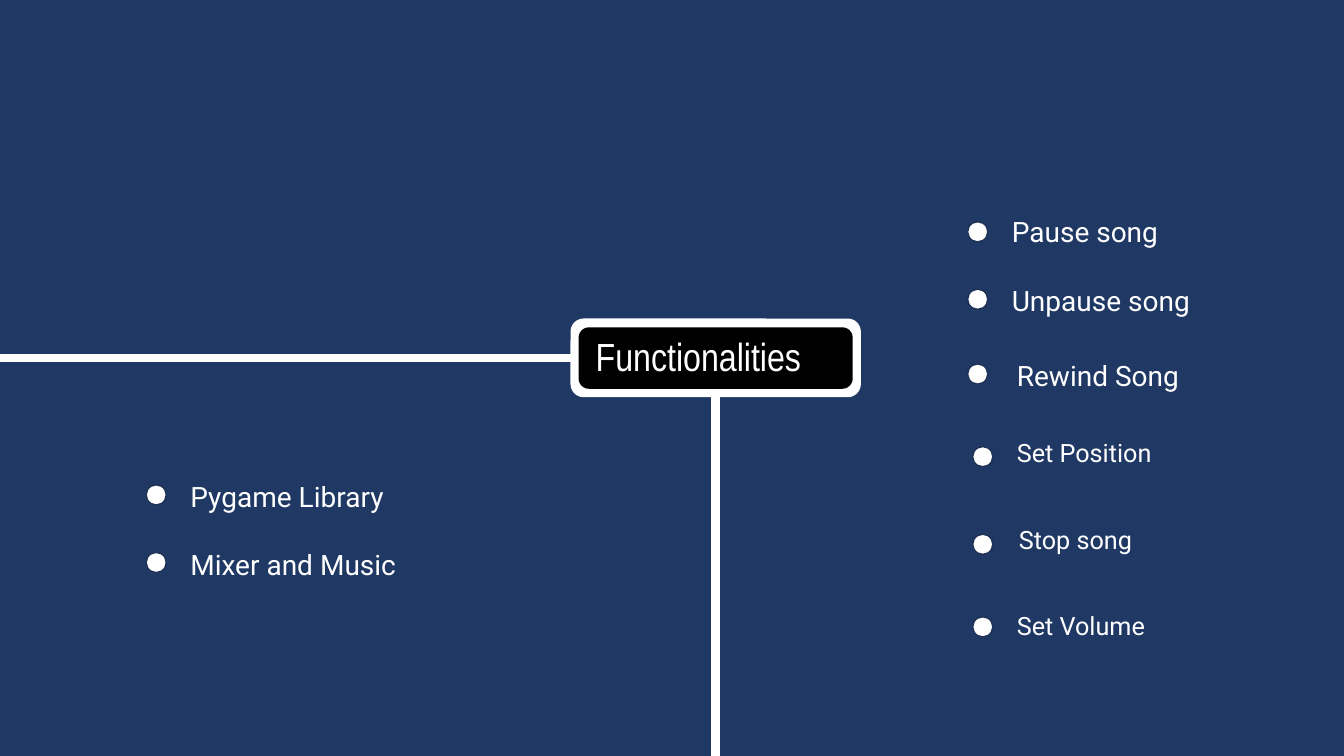
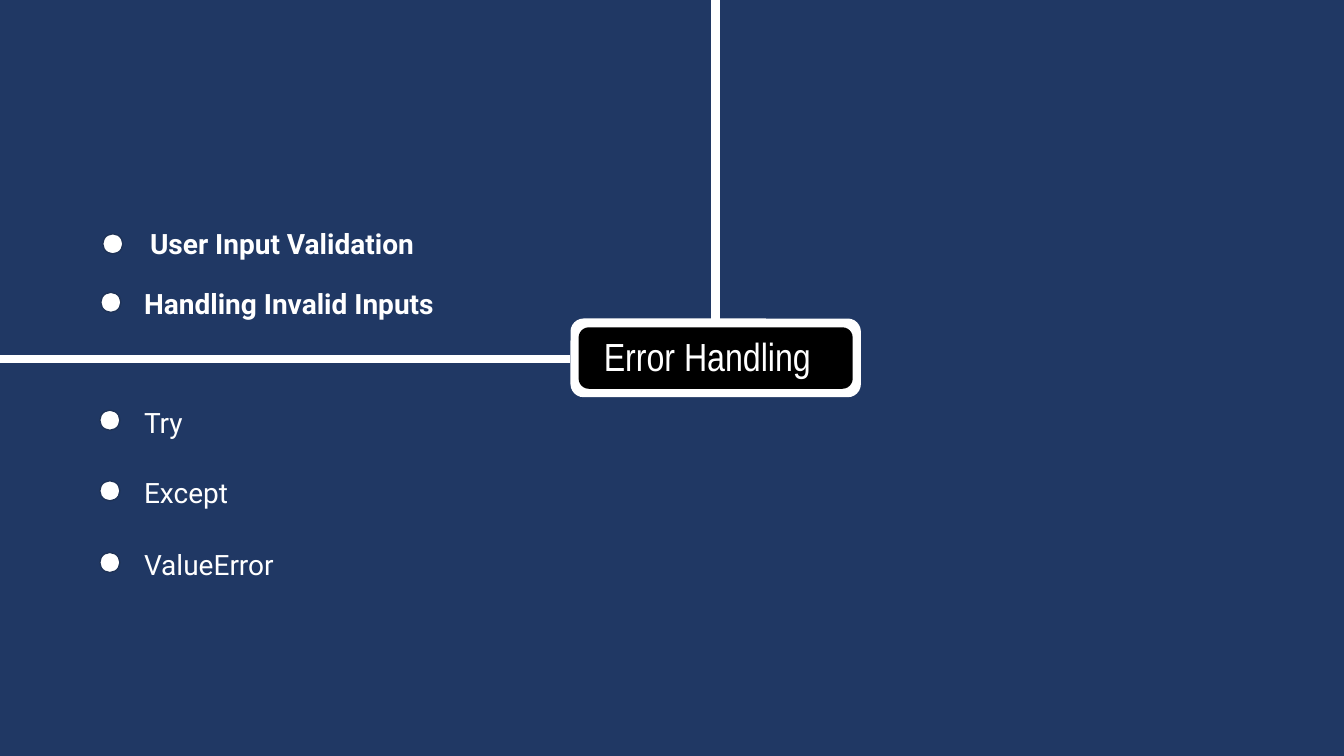
from dataclasses import dataclass

from pptx import Presentation
from pptx.dml.color import RGBColor
from pptx.enum.shapes import MSO_CONNECTOR, MSO_SHAPE
from pptx.enum.text import MSO_ANCHOR, MSO_AUTO_SIZE, PP_ALIGN
from pptx.oxml.ns import qn
from pptx.shapes.autoshape import Shape
from pptx.slide import Slide
from pptx.text.text import TextFrame
from pptx.util import Pt
from lxml import etree

NAVY = RGBColor(0x20, 0x38, 0x64)
DOT_EDGE = RGBColor(0x1E, 0x32, 0x56)
WHITE = RGBColor(0xFF, 0xFF, 0xFF)
BLACK = RGBColor(0x00, 0x00, 0x00)

STRAIGHT = MSO_CONNECTOR.STRAIGHT
ROUNDED = MSO_SHAPE.ROUNDED_RECTANGLE
OVAL = MSO_SHAPE.OVAL
LEFT = PP_ALIGN.LEFT
TOP = MSO_ANCHOR.TOP
NO_AUTOFIT = MSO_AUTO_SIZE.NONE

TITLE_FONT = "Arial Narrow"
BODY_FONT = "Roboto"
TITLE_ONLY = 5
SLIDE_W, SLIDE_H = 960, 540
TRUNK_X = 511.2
FRAME = (407.5, 227.5, 207.4, 56.2)
PANEL = (413.3, 233.8, 195.8, 43.9)
TITLE_Y, TITLE_W, TITLE_H = 234, 230, 41
DOT = 14.4
ITEM_W, ITEM_H = 230, 32


@dataclass(frozen=True)
class Item:
    text: str
    dot_x: float
    dot_y: float
    x: float
    y: float
    size: float = 20
    bold: bool = False


@dataclass(frozen=True)
class Branch:
    x1: float
    y1: float
    x2: float
    y2: float


@dataclass(frozen=True)
class Topic:
    title: str
    title_x: float
    branches: tuple[Branch, ...]
    items: tuple[Item, ...]


TOPICS = (
    Topic(
        "Functionalities", 418.3,
        (Branch(0, 255.6, 508.3, 255.6), Branch(TRUNK_X, 278.6, TRUNK_X, SLIDE_H)),
        (
            Item("Pause song", 691.2, 158.4, 715.7, 149.8),
            Item("Unpause song", 691.2, 206.6, 715.7, 198.7),
            Item("Rewind Song", 691.2, 260, 719.3, 252.7),
            Item("Set Position", 694.8, 319, 719.3, 308.9, 18),
            Item("Stop song", 694.8, 381.6, 720.7, 370.8, 18),
            Item("Set Volume", 694.8, 440.6, 719.3, 432.7, 18),
            Item("Pygame Library", 104.4, 346.3, 128.9, 339.1),
            Item("Mixer and Music", 104.4, 394.6, 128.9, 387.4),
        ),
    ),
    Topic(
        "Error Handling", 424.1,
        (Branch(TRUNK_X, 0, TRUNK_X, 236.2), Branch(407.5, 256.3, 0, 256.3)),
        (
            Item("User Input Validation", 73.4, 167, 100.1, 158.4, bold=True),
            Item("Handling Invalid Inputs", 72, 208.8, 95.8, 200.9, bold=True),
            Item("Try", 71.3, 293, 95.8, 285.8),
            Item("Except", 71.3, 343.4, 95.8, 336.2),
            Item("ValueError", 71.3, 394.6, 95.8, 387.4),
        ),
    ),
)


def write(tf: TextFrame, text: str, *, size: float, font: str = BODY_FONT,
          bold: bool = False, color: RGBColor = WHITE) -> None:
    tf.word_wrap = True
    tf.auto_size = NO_AUTOFIT
    tf.vertical_anchor = TOP
    p = tf.paragraphs[0]
    p.alignment = LEFT
    r = p.add_run()
    r.text = text
    r.font.name = font
    r.font.size = Pt(size)
    r.font.bold = bold
    r.font.color.rgb = color


def add_solid(s: Slide, kind: MSO_SHAPE, box: tuple[float, ...], fill: RGBColor,
              edge: RGBColor | None = None) -> Shape:
    sp = s.shapes.add_shape(kind, *map(Pt, box))
    sp.shadow.inherit = False
    sp.fill.solid()
    sp.fill.fore_color.rgb = fill
    if edge is None:
        sp.line.fill.background()
    else:
        sp.line.color.rgb = edge
        sp.line.width = Pt(1)
    return sp


def add_branch(s: Slide, b: Branch) -> None:
    line = s.shapes.add_connector(STRAIGHT, *map(Pt, (b.x1, b.y1, b.x2, b.y2)))
    line.line.color.rgb = WHITE
    line.line.width = Pt(6)
    etree.SubElement(line._element.spPr, qn("a:effectLst"))


def add_badge(s: Slide, text: str, x: float) -> None:
    """Draw the framed panel and lay the title placeholder over it."""
    add_solid(s, ROUNDED, FRAME, WHITE)
    panel = add_solid(s, ROUNDED, PANEL, BLACK)
    title = s.shapes.title
    title.left, title.top = Pt(x), Pt(TITLE_Y)
    title.width, title.height = Pt(TITLE_W), Pt(TITLE_H)
    write(title.text_frame, text, size=28, font=TITLE_FONT)
    panel._element.addnext(title._element)


def add_item(s: Slide, item: Item) -> None:
    add_solid(s, OVAL, (item.dot_x, item.dot_y, DOT, DOT), WHITE, DOT_EDGE)
    box = s.shapes.add_textbox(Pt(item.x), Pt(item.y), Pt(ITEM_W), Pt(ITEM_H))
    write(box.text_frame, item.text, size=item.size, bold=item.bold)


def main() -> None:
    prs = Presentation()
    prs.slide_width, prs.slide_height = Pt(SLIDE_W), Pt(SLIDE_H)
    background = prs.slide_master.background.fill
    background.solid()
    background.fore_color.rgb = NAVY
    for topic in TOPICS:
        s = prs.slides.add_slide(prs.slide_layouts[TITLE_ONLY])
        for branch in topic.branches:
            add_branch(s, branch)
        add_badge(s, topic.title, topic.title_x)
        for item in topic.items:
            add_item(s, item)
    prs.save("out.pptx")


if __name__ == "__main__":
    main()
